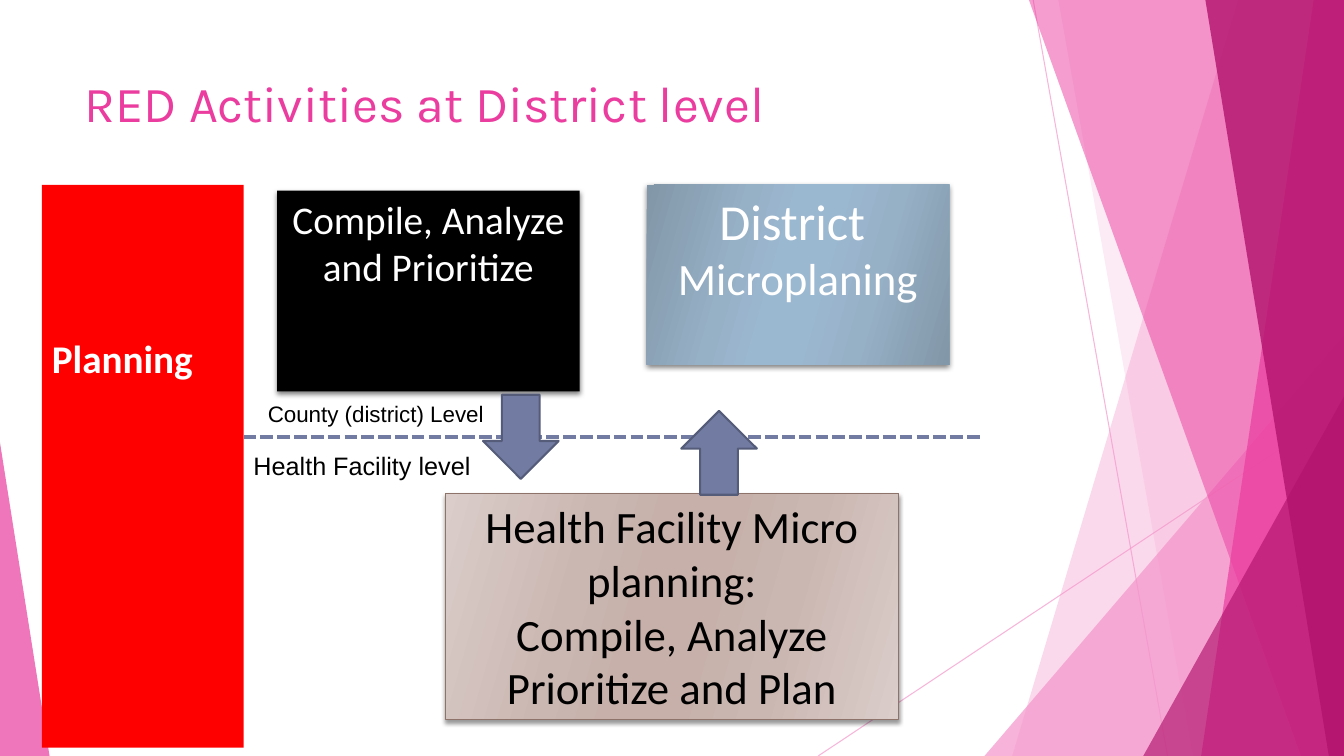
import pptx
import pptx.util
import pptx.dml.color
import pptx.enum.dml
import pptx.enum.shapes
import pptx.enum.text
import pptx.oxml.ns
from lxml import etree

COLS, ROWS = 160, 90
CELL = pptx.util.Inches(1) / 12
COLORS = {
    "light": "F496CB", "pink": "EB3D9F", "dark": "B2136D",
    "red": "FF0000", "black": "000000", "white": "FFFFFF",
    "arrow": "727CA3", "arrow_edge": "545C79", "tan_edge": "8E736A",
    "blue_out": "8297A8", "blue_mid": "96B0C6", "blue_in": "9BB8D1",
    "tan_out": "DACDCA", "tan_mid": "CBB7B2", "tan_in": "C6B0A9",
}
RAYS = [((123, 0), (139, ROWS)), ((COLS, 48.4), (97.4, ROWS))]
FACETS = [
    ("light", 36, [(147.4, 0), (COLS, 0), (COLS, ROWS), (120.5, ROWS)]),
    ("light", 20, [(126, 0), (COLS, 0), (COLS, ROWS), (142, ROWS)]),
    ("light", 72, [(COLS, 40), (COLS, ROWS), (117.2, ROWS)]),
    ("pink", 50, [(122.5, 0), (COLS, 0), (COLS, ROWS), (154.9, ROWS)]),
    ("pink", 70, [(156.4, 0), (COLS, 0), (COLS, ROWS), (143, ROWS)]),
    ("dark", 80, [(143.5, 0), (COLS, 0), (COLS, ROWS), (158.2, ROWS)]),
    ("dark", 66, [(COLS, 47.2), (COLS, ROWS), (136.1, ROWS)]),
    ("pink", 70, [(0, 52.7), (5.9, ROWS), (0, ROWS)]),
]
PLANNING = (5, 22, 24, 67)
BOXES = [
    ((33, 22.7, 36, 23.9), "black", None, (50, 4), "white",
     [("Compile, Analyze and Prioritize", 28)]),
    ((53, 58.8, 54, 26.9), "tan", "tan_edge", (40, 3), "black",
     [("Health Facility Micro planning:", 32),
      ("Compile, Analyze Prioritize and Plan", 32)]),
    ((77, 22, 36, 21.4), "blue", None, (50, 4), "white",
     [("District ", 36), ("Microplaning", 32)]),
]
ARROWS = [("DOWN_ARROW", (57.5, 47, 9, 10)), ("UP_ARROW", (81.1, 48.9, 9, 10))]
LEVEL_LINE = ((29, 52), (117, 52))
LABELS = [
    ("RED Activities at District level", (8.9, 8, 112.8, 17.3), 36, "Karla", "pink"),
    ("County (district) Level", (30.7, 47, 31.3, 4.4), 16, "Arial", "black"),
    ("Health Facility level", (29, 53, 35, 4.8), 18, "Arial", "black"),
]
ALIGN = pptx.enum.text.PP_ALIGN
SHAPES = pptx.enum.shapes.MSO_SHAPE


def emu(cells):
    return [round(c * CELL) for c in cells]


def rgb(name):
    return pptx.dml.color.RGBColor.from_string(COLORS[name])


def add(parent, tag, **attrs):
    return etree.SubElement(parent, pptx.oxml.ns.qn(tag), attrs)


def set_alpha(fill_element, percent):
    color = next(fill_element.iter(pptx.oxml.ns.qn("a:srgbClr")))
    add(color, "a:alpha", val=str(percent * 1000))


def paint(sp, fill, edge=None, width=0.75):
    sp.shadow.inherit = False
    sp.fill.solid()
    sp.fill.fore_color.rgb = rgb(fill)
    if edge:
        sp.line.color.rgb = rgb(edge)
        sp.line.width = pptx.util.Pt(width)
    else:
        sp.line.fill.background()


def gradient(sp, family):
    sp.fill.gradient()
    sp.fill.gradient_angle = 344
    stops = next(sp._element.spPr.iter(pptx.oxml.ns.qn("a:gsLst")))
    for stop in list(stops):
        stops.remove(stop)
    tones = ("out", "mid", "in", "in", "mid", "out")
    for pos, tone in zip((0, 30, 45, 55, 73, 100), tones):
        gs = add(stops, "a:gs", pos=str(pos * 1000))
        add(gs, "a:srgbClr", val=COLORS[f"{family}_{tone}"])


def drop_shadow(sp, alpha, blur):
    effects = sp._element.spPr.find(pptx.oxml.ns.qn("a:effectLst"))
    shadow = add(effects, "a:outerShdw", blurRad=str(pptx.util.Pt(blur)),
                 dist=str(pptx.util.Pt(2)), dir="5400000", rotWithShape="0")
    color = add(shadow, "a:srgbClr", val=COLORS["black"])
    add(color, "a:alpha", val=str(alpha * 1000))


def write(sp, lines, font, color, align=ALIGN.LEFT, bold=False):
    tf = sp.text_frame
    tf.word_wrap = True
    tf.vertical_anchor = pptx.enum.text.MSO_ANCHOR.TOP
    for i, (text, size) in enumerate(lines):
        p = tf.add_paragraph() if i else tf.paragraphs[0]
        p.text = text
        p.alignment = align
        p.font.name = font
        p.font.size = pptx.util.Pt(size)
        p.font.bold = bold
        p.font.color.rgb = rgb(color)


def connect(s, ends, color, width):
    line = s.shapes.add_connector(
        pptx.enum.shapes.MSO_CONNECTOR.STRAIGHT, *emu(ends[0]), *emu(ends[1]))
    line.line.color.rgb = rgb(color)
    line.line.width = pptx.util.Pt(width)
    add(line._element.spPr, "a:effectLst")
    return line


def add_backdrop(s):
    for ends in RAYS:
        ray = connect(s, ends, "light", 0.75)
        set_alpha(ray._element.spPr, 70)
    for color, alpha, points in FACETS:
        start, *rest = [emu(point) for point in points]
        builder = s.shapes.build_freeform(*start)
        builder.add_line_segments(rest, close=True)
        facet = builder.convert_to_shape()
        paint(facet, color)
        set_alpha(facet._element.spPr, alpha)


def add_planning(s):
    sp = s.shapes.add_shape(SHAPES.RECTANGLE, *emu(PLANNING))
    paint(sp, "red")
    write(sp, [("Planning", 28)], "Calibri", "white", bold=True)
    sp.text_frame.margin_top = round(PLANNING[3] * 0.295 * CELL)
    sp.text_frame.paragraphs[0].line_spacing = pptx.util.Pt(22)


def add_boxes(s):
    for area, fill, edge, shadow, color, lines in BOXES:
        sp = s.shapes.add_shape(SHAPES.RECTANGLE, *emu(area))
        paint(sp, "black", edge)
        if fill != "black":
            gradient(sp, fill)
        drop_shadow(sp, *shadow)
        write(sp, lines, "Calibri", color, ALIGN.CENTER)


def add_flow(s):
    line = connect(s, LEVEL_LINE, "arrow", 3)
    line.line.dash_style = pptx.enum.dml.MSO_LINE.SQUARE_DOT
    for kind, area in ARROWS:
        sp = s.shapes.add_shape(SHAPES[kind], *emu(area))
        paint(sp, "arrow", "arrow_edge", 1.5)


def main():
    prs = pptx.Presentation()
    prs.slide_width, prs.slide_height = emu((COLS, ROWS))
    s = prs.slides.add_slide(prs.slide_layouts[6])
    add_backdrop(s)
    add_planning(s)
    add_boxes(s)
    add_flow(s)
    for text, area, size, font, color in LABELS:
        write(s.shapes.add_textbox(*emu(area)), [(text, size)], font, color)
    prs.save("out.pptx")


if __name__ == "__main__":
    main()
